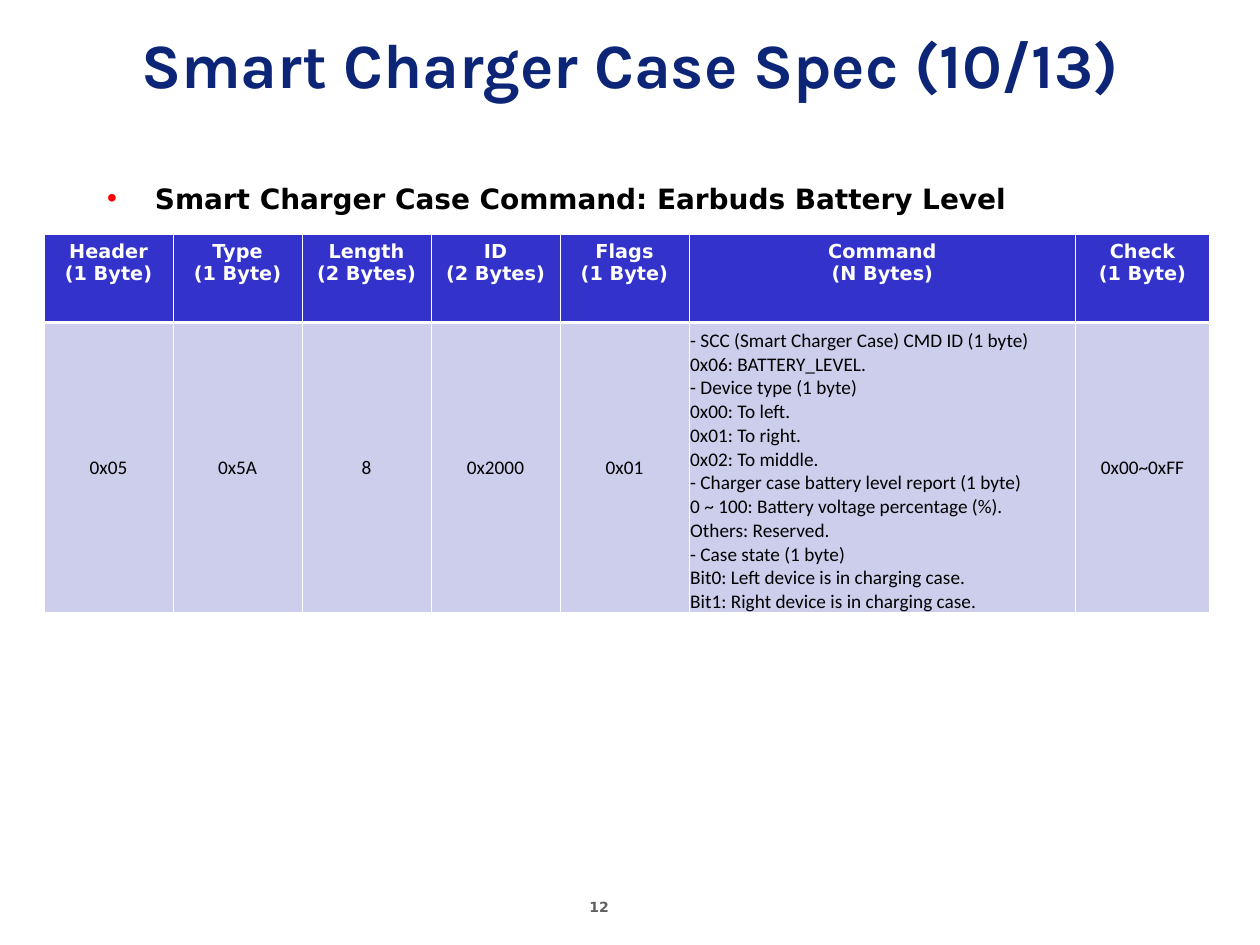
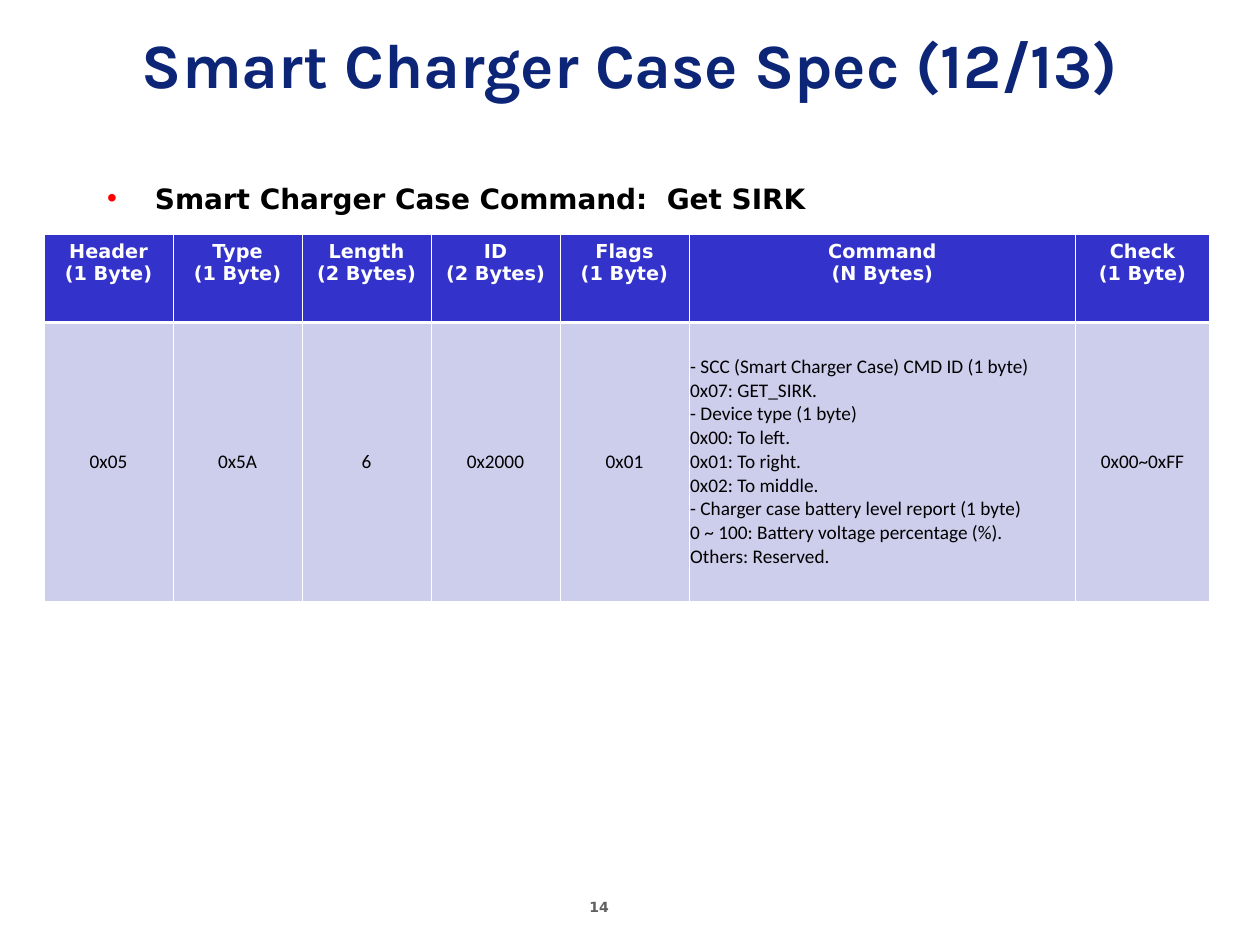
from lxml import etree
from pptx import Presentation
from pptx import util as u
from pptx.dml.color import RGBColor
from pptx.enum import text as t
from pptx.oxml.ns import qn

# Shared style
HUES = {
    "title": "0C2577", "text": "000000", "page": "5F5F5F", "dot": "FF0000",
    "head": "3333CC", "row": "CDCDEC", "white": "FFFFFF",
}
SANS, CELL, TITLE = "DejaVu Sans", "Calibri", "Karla"
MID, LEFT = t.PP_ALIGN.CENTER, t.PP_ALIGN.LEFT

# Table layout: five equal columns, a wide one and the last
LAST, WIDE, SPAN = 1.06, 3.07, 9.25
SLIM = (SPAN - WIDE - LAST) / 5
COLS = [SLIM] * 5 + [WIDE, LAST]
ROWS = [0.7, 2.21]
THIN, THICK = 0.45, 1.47

HEADS = [
    ("Header", "(1 Byte)"), ("Type", "(1 Byte)"), ("Length", "(2 Bytes)"),
    ("ID", "(2 Bytes)"), ("Flags", "(1 Byte)"), ("Command", "(N Bytes)"),
    ("Check", "(1 Byte)"),
]

# Command lines that both slides have after their own ID
SHARED = [
    "- Device type (1 byte)",
    "0x00: To left.",
    "0x01: To right.",
    "0x02: To middle.",
    "- Charger case battery level report (1 byte)",
    "0 ~ 100: Battery voltage percentage (%).",
    "Others: Reserved.",
]
STATE = [
    "- Case state (1 byte)",
    "Bit0: Left device is in charging case.",
    "Bit1: Right device is in charging case.",
]

# Part, page, command name, length, command ID, further lines
SPECS = [
    (10, 12, "Smart Charger Case Command: Earbuds Battery Level", "8",
     "0x06: BATTERY_LEVEL.", STATE),
    (12, 14, "Smart Charger Case Command:  Get SIRK", "6",
     "0x07: GET_SIRK.", []),
]


def add_run(para, words, font, size, hue, bold=True):
    run = para.add_run()
    run.text = words
    run.font.name = font
    run.font.size = u.Pt(size)
    run.font.bold = bold
    run.font.color.rgb = RGBColor.from_string(HUES[hue])


def place(shape, left, top, width, height):
    shape.left, shape.top = u.Inches(left), u.Inches(top)
    shape.width, shape.height = u.Inches(width), u.Inches(height)


def add_title(slide, words):
    shape = slide.shapes.title
    place(shape, 0, 0, 10, 1)
    frame = shape.text_frame
    frame.auto_size = t.MSO_AUTO_SIZE.NONE
    frame.vertical_anchor = t.MSO_ANCHOR.MIDDLE
    para = frame.paragraphs[0]
    para.alignment = MID
    add_run(para, words, TITLE, 36, "title")


def add_list(slide, words):
    shape = slide.placeholders[1]
    place(shape, 0.75, 1.39, 9.25, 5.17)
    frame = shape.text_frame
    frame.auto_size = t.MSO_AUTO_SIZE.NONE
    para = frame.paragraphs[0]
    para.space_before = u.Pt(0)
    # Red bullet with a hanging indent
    props = para._p.get_or_add_pPr()
    props.set("marL", str(u.Inches(0.38)))
    props.set("indent", str(u.Inches(-0.38)))
    tint = etree.SubElement(props, qn("a:buClr"))
    etree.SubElement(tint, qn("a:srgbClr"), val=HUES["dot"])
    etree.SubElement(props, qn("a:buChar"), char="•")
    add_run(para, words, SANS, 16, "text")


def add_page(slide, page):
    box = slide.shapes.add_textbox(
        u.Inches(4.58), u.Inches(7.08), u.Inches(0.77), u.Inches(0.26))
    frame = box.text_frame
    frame.word_wrap = False
    frame.auto_size = t.MSO_AUTO_SIZE.SHAPE_TO_FIT_TEXT
    para = frame.paragraphs[0]
    para.alignment = LEFT
    add_run(para, str(page), SANS, 8, "page")


def add_edges(cell, top, base):
    props = cell._tc.get_or_add_tcPr()
    for side, width in zip("LRTB", (THIN, THIN, top, base)):
        line = etree.SubElement(props, qn("a:ln" + side), w=str(u.Pt(width)))
        fill = etree.SubElement(line, qn("a:solidFill"))
        etree.SubElement(fill, qn("a:srgbClr"), val=HUES["white"])


def fill_cell(cell, lines, hue, align, font, ink, bold):
    cell.fill.solid()
    cell.fill.fore_color.rgb = RGBColor.from_string(HUES[hue])
    frame = cell.text_frame
    for i, line in enumerate(lines):
        para = frame.add_paragraph() if i else frame.paragraphs[0]
        para.alignment = align
        add_run(para, line, font, 11, ink, bold)


def add_grid(slide, values):
    grid = slide.shapes.add_table(
        2, len(COLS), u.Inches(0.35), u.Inches(1.86),
        u.Inches(SPAN), u.Inches(sum(ROWS))).table
    for col, width in zip(grid.columns, COLS):
        col.width = u.Inches(width)
    for row, height in zip(grid.rows, ROWS):
        row.height = u.Inches(height)
    for i, (head, lines) in enumerate(zip(HEADS, values)):
        # Header cell
        cell = grid.cell(0, i)
        add_edges(cell, THIN, THICK)
        fill_cell(cell, head, "head", MID, SANS, "white", True)
        # Value cell
        cell = grid.cell(1, i)
        add_edges(cell, THICK, THIN)
        cell.margin_left = cell.margin_right = u.Inches(0.01)
        cell.vertical_anchor = t.MSO_ANCHOR.MIDDLE
        align = LEFT if len(lines) > 1 else MID
        fill_cell(cell, lines, "row", align, CELL, "text", False)


def main():
    deck = Presentation()
    deck.slide_width, deck.slide_height = u.Inches(10), u.Inches(7.5)
    for part, page, name, size, code, more in SPECS:
        slide = deck.slides.add_slide(deck.slide_layouts[1])
        add_page(slide, page)
        add_title(slide, f"Smart Charger Case Spec ({part}/13)")
        add_list(slide, name)
        lines = ["- SCC (Smart Charger Case) CMD ID (1 byte)", code]
        add_grid(slide, [["0x05"], ["0x5A"], [size], ["0x2000"], ["0x01"],
                         lines + SHARED + more, ["0x00~0xFF"]])
    deck.save("out.pptx")


if __name__ == "__main__":
    main()
